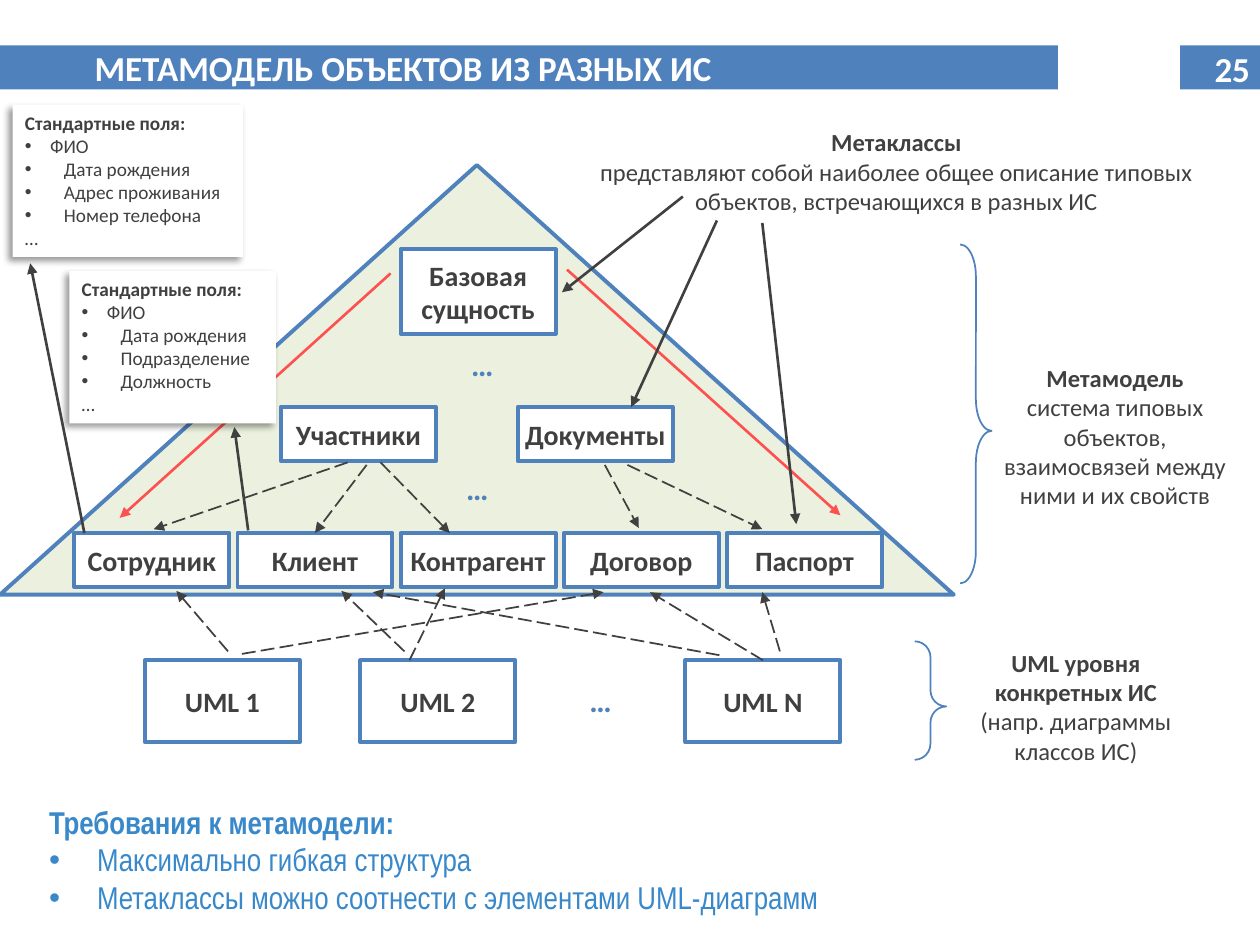
import pptx
import pptx.util
import pptx.dml.color
import pptx.enum.dml
import pptx.enum.shapes
import pptx.enum.text
import pptx.oxml.ns
from lxml import etree

Inches = pptx.util.Inches
Pt = pptx.util.Pt
Shape = pptx.enum.shapes.MSO_SHAPE
Align = pptx.enum.text.PP_ALIGN
Anchor = pptx.enum.text.MSO_ANCHOR
Fit = pptx.enum.text.MSO_AUTO_SIZE
qn = pptx.oxml.ns.qn

BLUE, DARK, WHITE, RED = "4F81BD", "404040", "FFFFFF", "FF5050"
PALE, SKY = "EBF1DE", "3888CA"


def color(value):
    return pptx.dml.color.RGBColor.from_string(value)


def apply(target, values):
    for name, value in values.items():
        setattr(target, name, value)


class Slide:
    def __init__(self, page):
        self.page = page
        self.font = "Calibri"

    def fill_text(self, box, lines, size, ink=DARK, align=Align.LEFT, font=None, **frame):
        text = box.text_frame
        apply(text, {"word_wrap": True, "auto_size": Fit.NONE, **frame})
        for index, (words, bold, indent) in enumerate(lines):
            para = text.paragraphs[0] if index == 0 else text.add_paragraph()
            props = para._p.get_or_add_pPr()
            margin, hang = indent or (0, 0)
            props.set("marL", str(Inches(margin)))
            props.set("indent", str(Inches(hang)))
            if indent:
                etree.SubElement(props, qn("a:buFont")).set("typeface", "Arial")
                etree.SubElement(props, qn("a:buChar")).set("char", "•")
            else:
                etree.SubElement(props, qn("a:buNone"))
            apply(para, {"alignment": align, "space_before": Pt(0)})
            span = para.add_run()
            span.text = words
            apply(span.font, {"name": font or self.font, "size": Pt(size), "bold": bold})
            span.font.color.rgb = color(ink)

    def holder(self, box, place, lines, size, **style):
        apply(box, dict(zip(("left", "top", "width", "height"), map(Inches, place))))
        box.element.getparent().append(box.element)
        self.fill_text(box, lines, size, **style)

    def text(self, place, lines, size, **style):
        box = self.page.shapes.add_textbox(*map(Inches, place))
        self.fill_text(box, lines, size, **style)

    def shape(self, kind, place, fill=None, line=None, weight=2.25, adjust=()):
        box = self.page.shapes.add_shape(kind, *map(Inches, place))
        box.shadow.inherit = False
        if fill:
            box.fill.solid()
            box.fill.fore_color.rgb = color(fill)
        else:
            box.fill.background()
        if line:
            box.line.color.rgb = color(line)
            box.line.width = Pt(weight)
        else:
            box.line.fill.background()
        for index, value in enumerate(adjust):
            box.adjustments[index] = value
        return box

    def entity(self, name, left, top, height):
        box = self.shape(Shape.RECTANGLE, (left, top, 1.23, height), WHITE, BLUE)
        self.fill_text(box, [(name, True, None)], 16, align=Align.CENTER,
                       vertical_anchor=Anchor.MIDDLE, margin_left=0, margin_right=0)
        return box

    def note(self, place, fields):
        box = self.shape(Shape.RECTANGLE, place, WHITE)
        effects = box.element.spPr.find(qn("a:effectLst"))
        shadow = etree.SubElement(effects, qn("a:outerShdw"), blurRad=str(Pt(4)),
                                  dist=str(Pt(3)), dir=str(135 * 60000), algn="tr", rotWithShape="0")
        black = etree.SubElement(shadow, qn("a:srgbClr"), val="000000")
        etree.SubElement(black, qn("a:alpha"), val="40000")
        lines = [("Стандартные поля:", True, None), ("ФИО", False, (0.2, -0.31))]
        lines += [(field, False, (0.31, -0.31)) for field in fields]
        self.fill_text(box, lines + [("…", False, None)], 11, vertical_anchor=Anchor.TOP)

    def caption(self, place, heading, body):
        self.text(place, [(heading, True, None), (body, False, None)], 14, align=Align.CENTER)

    def dots(self, left, top):
        self.text((left, top, 0.38, 0.4), [("…", True, None)], 18, ink=BLUE, word_wrap=False)

    def arrow(self, ends, ink=DARK, weight=1.5, dashed=False, start=None, stop=None):
        line = self.page.shapes.add_connector(
            pptx.enum.shapes.MSO_CONNECTOR.STRAIGHT, *map(Inches, ends))
        line.line.color.rgb = color(ink)
        line.line.width = Pt(weight)
        if dashed:
            line.line.dash_style = pptx.enum.dml.MSO_LINE.LONG_DASH
        etree.SubElement(line.line._get_or_add_ln(), qn("a:tailEnd"), type="triangle")
        etree.SubElement(line._element.spPr, qn("a:effectLst"))
        if start:
            line.begin_connect(start, 0)
        if stop:
            line.end_connect(stop, 0)


def main():
    deck = pptx.Presentation()
    apply(deck, {"slide_width": Inches(10), "slide_height": Inches(7.5)})
    page = deck.slides.add_slide(deck.slide_layouts[1])
    slide = Slide(page)

    slide.shape(Shape.RECTANGLE, (0, 0.36, 10, 0.35), BLUE)
    slide.shape(Shape.RECTANGLE, (8.41, 0.08, 0.94, 1.15), WHITE, WHITE, 2)
    slide.text((9.31, 0.32, 0.71, 0.44), [("25", True, None)], 20, ink=WHITE,
               align=Align.RIGHT, vertical_anchor=Anchor.BOTTOM)
    slide.holder(page.shapes.title, (0.75, 0.35, 7.64, 0.35),
                 [("МЕТАМОДЕЛЬ ОБЪЕКТОВ ИЗ РАЗНЫХ ИС", True, None)], 20, ink=WHITE,
                 vertical_anchor=Anchor.BOTTOM, margin_left=0, margin_top=0,
                 margin_right=0, margin_bottom=0)
    bullet = (0.38, -0.38)
    slide.holder(page.placeholders[1], (0.29, 6.32, 9.22, 1.01), [
        ("Требования к метамодели:", True, None),
        ("Максимально гибкая структура", False, bullet),
        ("Метаклассы можно соотнести с элементами UML-диаграмм", False, bullet),
    ], 18, ink=SKY, font="Arial Narrow")

    slide.shape(Shape.ISOSCELES_TRIANGLE, (0, 1.31, 7.57, 3.41), PALE, BLUE)
    slide.entity("Базовая сущность", 3.18, 1.98, 0.67)
    for name, left in (("Участники", 2.23), ("Документы", 4.11)):
        slide.entity(name, left, 3.23, 0.43)
    names = ("Сотрудник", "Клиент", "Контрагент", "Договор", "Паспорт")
    classes = {name: slide.entity(name, 0.59 + 1.295 * index, 4.23, 0.43)
               for index, name in enumerate(names)}
    models = {name: slide.entity(name, left, 5.24, 0.65)
              for name, left in (("UML 1", 1.15), ("UML 2", 2.86), ("UML N", 5.44))}
    for left, top in ((3.64, 2.69), (3.6, 3.67), (4.58, 5.36)):
        slide.dots(left, top)

    slide.caption((4.66, 0.96, 4.91, 0.81), "Метаклассы",
                  "представляют собой наиболее общее описание типовых объектов, "
                  "встречающихся в разных ИС")
    slide.caption((7.77, 2.83, 2.16, 1.28), "Метамодель",
                  "система типовых объектов, взаимосвязей между ними и их свойств")
    slide.caption((7.46, 5.09, 2.16, 1.04), "UML уровня конкретных ИС",
                  "(напр. диаграммы классов ИС)")
    for place, curl in (((7.62, 1.94, 0.25, 2.69), 1.01), ((7.26, 5.09, 0.25, 0.94), 0.51)):
        slide.shape(Shape.RIGHT_BRACE, place, line=BLUE, weight=1, adjust=(curl, 0.55))

    for ends in ((3.1, 2.17, 0.95, 4.11), (4.5, 2.14, 6.67, 4.09)):
        slide.arrow(ends, RED)
    for ends in (
        (1.81, 5.17, 1.4, 4.69), (1.92, 5.19, 4.79, 4.7), (3.25, 5.24, 3.53, 4.67),
        (3.21, 5.17, 2.71, 4.69), (5.71, 5.2, 2.96, 4.7), (6.19, 5.17, 6.05, 4.7),
        (2.76, 3.67, 1.22, 4.2), (3.02, 3.67, 3.57, 4.23),
        (4.8, 3.69, 5.07, 4.19), (4.98, 3.69, 6.05, 4.2),
    ):
        slide.arrow(ends, weight=1, dashed=True)
    slide.arrow((6.06, 5.24, 5.16, 4.7), weight=1, dashed=True, start=models["UML N"])
    slide.arrow((2.91, 3.69, 2.5, 4.23), weight=1, dashed=True, stop=classes["Клиент"])

    slide.note((0.1, 0.83, 1.83, 1.21), ("Дата рождения", "Адрес проживания", "Номер телефона"))
    slide.note((0.55, 2.15, 1.64, 1.21), ("Дата рождения", "Подразделение", "Должность"))
    for ends in (
        (5.42, 1.56, 4.46, 2.32), (5.69, 1.75, 5.01, 3.23), (6.05, 1.77, 6.32, 4.16),
        (0.67, 4.23, 0.24, 2.09), (1.97, 4.21, 1.86, 3.39),
    ):
        slide.arrow(ends)

    deck.save("out.pptx")


if __name__ == "__main__":
    main()
